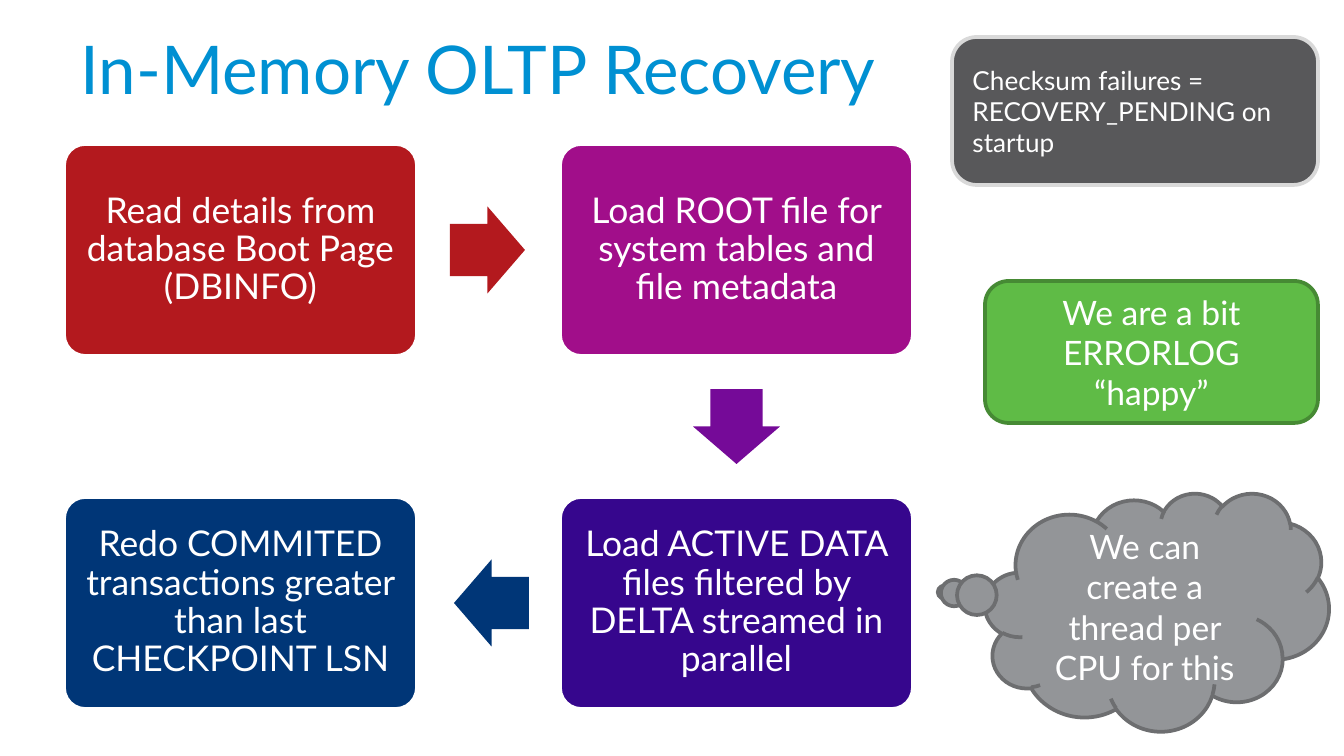
from pptx import Presentation
from pptx.dml.color import RGBColor
from pptx.enum.shapes import MSO_SHAPE
from pptx.enum.text import MSO_ANCHOR, MSO_AUTO_SIZE, PP_ALIGN
from pptx.util import Emu, Pt

PIXEL = 914400 / 134.4
FONT = "Lato"

WHITE = RGBColor(0xFF, 0xFF, 0xFF)
TITLE_BLUE = RGBColor(0x00, 0x90, 0xD2)
RED = RGBColor(0xB3, 0x19, 0x1E)
MAGENTA = RGBColor(0xA1, 0x0E, 0x8A)
PURPLE = RGBColor(0x75, 0x0A, 0x98)
INDIGO = RGBColor(0x36, 0x06, 0x8D)
NAVY = RGBColor(0x00, 0x36, 0x77)
DARK_GRAY = RGBColor(0x58, 0x58, 0x5A)
PALE_GRAY = RGBColor(0xD9, 0xD9, 0xD9)
GRAY = RGBColor(0x93, 0x95, 0x98)
GRAY_EDGE = RGBColor(0x6D, 0x6E, 0x70)
GREEN = RGBColor(0x5F, 0xBB, 0x46)
GREEN_EDGE = RGBColor(0x46, 0x8A, 0x34)


def px(length):
    return Emu(round(length * PIXEL))


def write(shape, text, size, color=WHITE, align=PP_ALIGN.CENTER, anchor=MSO_ANCHOR.MIDDLE):
    frame = shape.text_frame
    frame.word_wrap = True
    frame.auto_size = MSO_AUTO_SIZE.NONE
    frame.vertical_anchor = anchor
    paragraph = frame.paragraphs[0]
    paragraph.alignment = align
    run = paragraph.add_run()
    run.text = text
    run.font.name = FONT
    run.font.size = Pt(size)
    run.font.color.rgb = color
    return paragraph


def add_filled(shapes, kind, box, fill, edge=None, adjustments=()):
    shape = shapes.add_shape(kind, *map(px, box))
    shape.shadow.inherit = False
    shape.fill.solid()
    shape.fill.fore_color.rgb = fill
    if edge is None:
        shape.line.fill.background()
    else:
        shape.line.color.rgb = edge
        shape.line.width = Pt(2)
    for index, value in enumerate(adjustments):
        shape.adjustments[index] = value
    return shape


def add_title(slide, box, text):
    title = slide.shapes.title
    title.left, title.top, title.width, title.height = map(px, box)
    paragraph = write(title, text, 36, TITLE_BLUE, PP_ALIGN.LEFT, MSO_ANCHOR.TOP)
    paragraph.line_spacing = Pt(35)


def add_recovery_flow(slide, box):
    left, top, width, height = box
    step_width, step_height = 353, 212
    arrow_width, arrow_height = 75, 87
    columns = (left, left + width - step_width)
    rows = (top, top + height - step_height)
    shapes = slide.shapes.add_group_shape().shapes

    # Steps, clockwise from the upper left
    steps = (
        (0, 0, RED, "Read details from database Boot Page (DBINFO)"),
        (1, 0, MAGENTA, "Load ROOT file for system tables and file metadata"),
        (1, 1, INDIGO, "Load ACTIVE DATA files filtered by DELTA streamed in parallel"),
        (0, 1, NAVY, "Redo COMMITED transactions greater than last CHECKPOINT LSN"),
    )
    for column, row, fill, text in steps:
        step = add_filled(shapes, MSO_SHAPE.ROUNDED_RECTANGLE,
                          (columns[column], rows[row], step_width, step_height),
                          fill, WHITE, (0.1,))
        frame = step.text_frame
        frame.margin_left = frame.margin_right = px(11)
        frame.margin_top = frame.margin_bottom = px(11)
        write(step, text, 19).line_spacing = 0.9

    # Arrows, given by their centres and turned along the flow
    middle_x, middle_y = left + width / 2, top + height / 2
    right_x = columns[1] + step_width / 2
    arrows = (
        (middle_x - 1, rows[0] + step_height / 2, 0, RED),
        (right_x, middle_y, 90, PURPLE),
        (middle_x + 3, rows[1] + step_height / 2, 180, NAVY),
    )
    for x, y, rotation, fill in arrows:
        arrow = add_filled(shapes, MSO_SHAPE.RIGHT_ARROW,
                           (x - arrow_width / 2, y - arrow_height / 2, arrow_width, arrow_height),
                           fill, adjustments=(0.6, 0.5))
        arrow.rotation = rotation


def add_remarks(slide, box):
    left, top, width, height = box
    right, bottom = left + width, top + height
    remarks = (
        (MSO_SHAPE.ROUNDED_RECTANGLE, (left, top, 366, 148), DARK_GRAY, PALE_GRAY, (),
         "Checksum failures = RECOVERY_PENDING on startup", 14, PP_ALIGN.LEFT),
        (MSO_SHAPE.CLOUD_CALLOUT, (right - 344, bottom - 238, 344, 238), GRAY, GRAY_EDGE,
         (-0.618, -0.083), "We can create a thread per CPU for this", 18, PP_ALIGN.CENTER),
        (MSO_SHAPE.ROUNDED_RECTANGLE, (right - 344, top + 244, 333, 142), GREEN, GREEN_EDGE, (),
         "We are a bit ERRORLOG “happy”", 18, PP_ALIGN.CENTER),
    )
    for kind, place, fill, edge, adjustments, text, size, align in remarks:
        remark = add_filled(slide.shapes, kind, place, fill, edge, adjustments)
        write(remark, text, size, align=align)


presentation = Presentation()
presentation.slide_width, presentation.slide_height = px(1344), px(756)
slide = presentation.slides.add_slide(presentation.slide_layouts[5])
add_title(slide, (67, 36, 1210, 90), "In-Memory OLTP Recovery")
add_recovery_flow(slide, (64, 144, 849, 565))
add_remarks(slide, (952, 37, 377, 694))
presentation.save("out.pptx")
